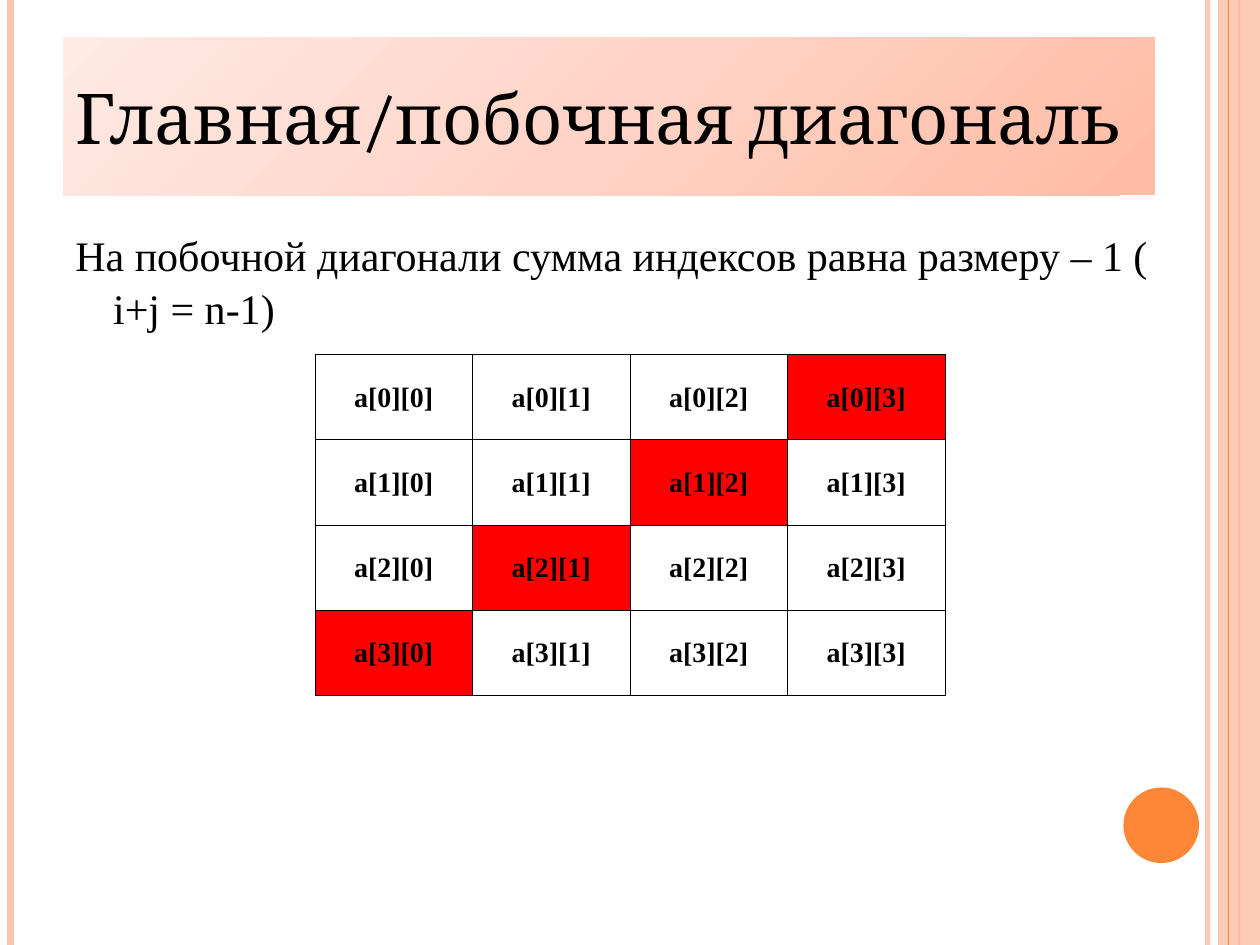
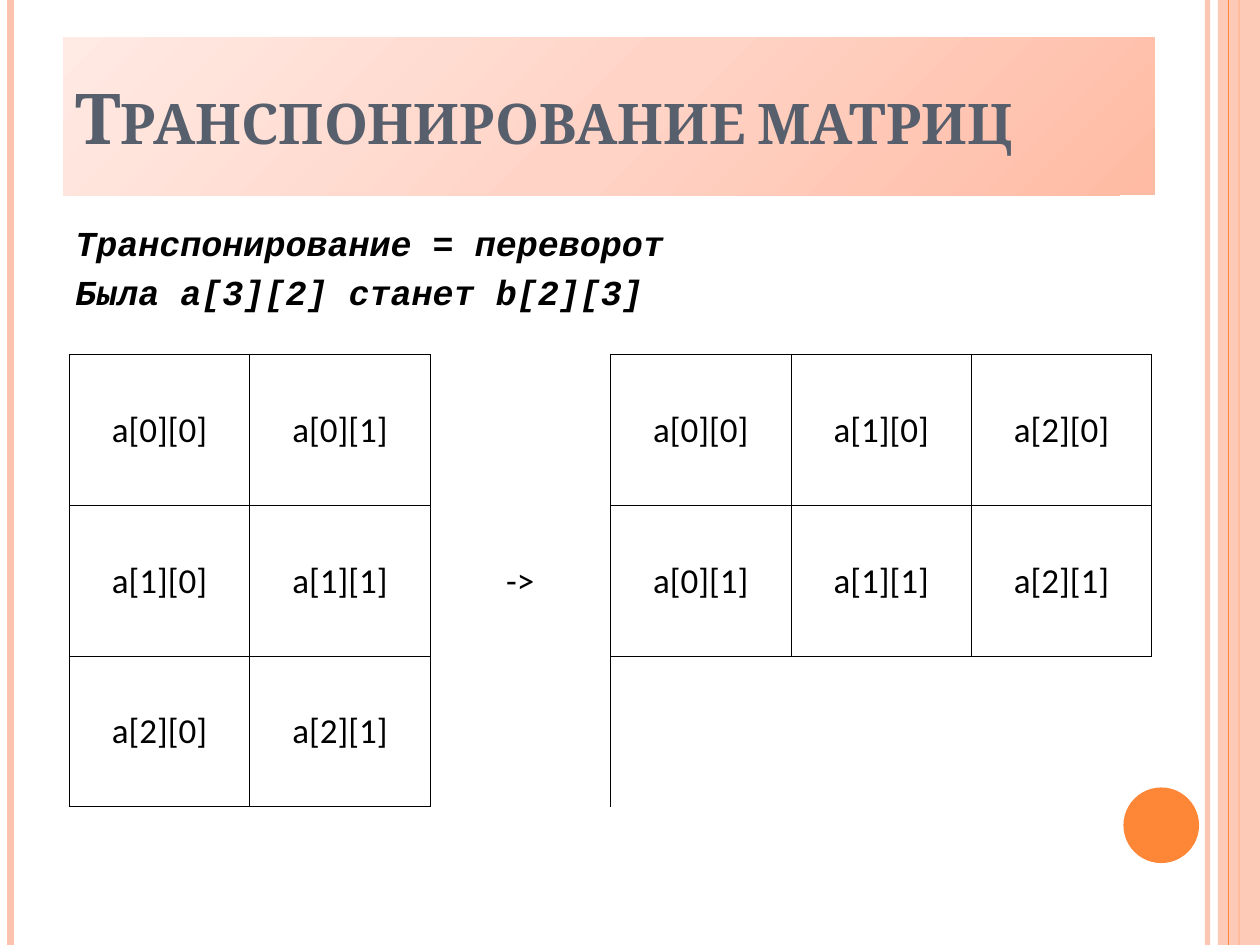
from dataclasses import dataclass
from typing import NamedTuple, Optional

from lxml import etree
from pptx import Presentation, util as u
from pptx.dml.color import RGBColor
from pptx.enum import shapes, text
from pptx.oxml import ns

COLUMNS, ROWS = 120, 90
CELL = u.Inches(10) // COLUMNS
NO_GRID_STYLE = "{2D5ABB26-0587-4C30-8999-92F81FD0307C}"


@dataclass(frozen=True)
class Theme:
    paper: str = "FFFFFF"
    ink: str = "000000"
    slate: str = "575F6D"
    peach: str = "FEC3AE"
    orange: str = "FE8637"
    diagonal: str = "FF0000"
    heading_gradient: tuple[str, ...] = ("FFBBA3", "FFD4C7", "FFEAE4")
    heading_pt: float = 40
    rule_pt: float = 0.5


THEME = Theme()


class Area(NamedTuple):
    """A rectangle in grid columns and rows."""
    column: float
    row: float
    width: float
    height: float

    def emu(self) -> list[int]:
        return [round(length * CELL) for length in self]


class Type(NamedTuple):
    face: str
    size: float
    color: str = THEME.ink
    bold: bool = False
    italic: bool = False


class Stripe(NamedTuple):
    column: float
    color: str
    weight: float
    opacity: int = 100


class MatrixCell(NamedTuple):
    label: str = ""
    fill: Optional[str] = None
    sides: str = "LRTB"


STRIPES_UNDER_BAND = (
    Stripe(115, THEME.peach, 3, 93),
    Stripe(1, THEME.peach, 4.5),
    Stripe(118, THEME.orange, 1.5),
)
STRIPE_OVER_BAND = Stripe(117, THEME.orange, 0.75)
EDGE_BAND = Area(116, 0, 4, ROWS)
CORNER_DISC = Area(107, 75, 7.2, 7.2)
HEADING = Area(6, 3.6, 104, 15)


def rgb(color: str) -> RGBColor:
    return RGBColor.from_string(color)


def add_xml(parent, tag: str, **attributes: str):
    return etree.SubElement(parent, ns.qn(tag), attributes)


def set_opacity(element, percent: int) -> None:
    if percent < 100:
        for color in element.iter(ns.qn("a:srgbClr")):
            add_xml(color, "a:alpha", val=str(percent * 1000))


def set_type(paragraph, style: Type) -> None:
    font = paragraph.font
    font.name, font.size = style.face, u.Pt(style.size)
    font.bold, font.italic = style.bold, style.italic
    font.color.rgb = rgb(style.color)


def draw_stripe(slide, stripe: Stripe) -> None:
    x = round(stripe.column * CELL)
    line = slide.shapes.add_connector(
        shapes.MSO_CONNECTOR.STRAIGHT, x, 0, x, ROWS * CELL)
    line.line.color.rgb = rgb(stripe.color)
    line.line.width = u.Pt(stripe.weight)
    properties = line._element.spPr
    set_opacity(properties, stripe.opacity)
    add_xml(properties, "a:effectLst")


def draw_solid(slide, preset, area: Area, color: str, opacity: int = 100) -> None:
    solid = slide.shapes.add_shape(preset, *area.emu())
    solid.shadow.inherit = False
    solid.fill.solid()
    solid.fill.fore_color.rgb = rgb(color)
    solid.line.fill.background()
    set_opacity(solid._element.spPr, opacity)


def draw_frame(slide) -> None:
    """Draw the edge stripes and the corner disc shared by all slides."""
    for stripe in STRIPES_UNDER_BAND:
        draw_stripe(slide, stripe)
    draw_solid(slide, shapes.MSO_SHAPE.RECTANGLE, EDGE_BAND, THEME.peach, 87)
    draw_stripe(slide, STRIPE_OVER_BAND)
    draw_solid(slide, shapes.MSO_SHAPE.OVAL, CORNER_DISC, THEME.orange)


def fill_heading(fill) -> None:
    """Spread the heading colours evenly from bottom right to top left."""
    fill.gradient()
    fill.gradient_angle = 135
    stops = fill._xPr.find(ns.qn("a:gradFill")).find(ns.qn("a:gsLst"))
    for stop in list(stops):
        stops.remove(stop)
    step = 100000 // (len(THEME.heading_gradient) - 1)
    for index, color in enumerate(THEME.heading_gradient):
        stop = add_xml(stops, "a:gs", pos=str(index * step))
        add_xml(stop, "a:srgbClr", val=color)


def draw_heading(slide, words: str, color: str, bold: bool = False,
                 small_caps: bool = False) -> None:
    heading = slide.shapes.add_textbox(*HEADING.emu())
    fill_heading(heading.fill)
    frame = heading.text_frame
    frame.word_wrap = True
    frame.vertical_anchor = text.MSO_ANCHOR.MIDDLE
    frame.text = words
    paragraph = frame.paragraphs[0]
    set_type(paragraph, Type("Cambria", THEME.heading_pt, color, bold))
    if small_caps:
        paragraph.font._element.set("cap", "small")


def draw_body(slide, area: Area, lines: list[str], style: Type,
              spacing: float) -> None:
    frame = slide.shapes.add_textbox(*area.emu()).text_frame
    frame.word_wrap = True
    frame.text = "\n".join(lines)
    hang = u.Inches(0.3)
    for index, paragraph in enumerate(frame.paragraphs):
        properties = paragraph._p.get_or_add_pPr()
        properties.set("marL", str(hang))
        properties.set("indent", str(-hang))
        paragraph.line_spacing = spacing
        if index:
            paragraph.space_before = u.Pt(6)
        set_type(paragraph, style)


def style_cell(cell, content: MatrixCell, style: Type) -> None:
    cell.margin_left = cell.margin_right = cell.margin_top = u.Inches(0.01)
    cell.margin_bottom = 0
    cell.vertical_anchor = text.MSO_ANCHOR.MIDDLE
    properties = cell._tc.get_or_add_tcPr()
    for side in content.sides:
        border = add_xml(properties, f"a:ln{side}", w=str(u.Pt(THEME.rule_pt)))
        add_xml(add_xml(border, "a:solidFill"), "a:srgbClr", val=THEME.ink)
    if content.fill:
        cell.fill.solid()
        cell.fill.fore_color.rgb = rgb(content.fill)
    else:
        cell.fill.background()
    cell.text = content.label
    paragraph = cell.text_frame.paragraphs[0]
    paragraph.alignment = text.PP_ALIGN.CENTER
    set_type(paragraph, style)


def draw_matrix(slide, area: Area, grid: list[list[MatrixCell]], style: Type):
    table = slide.shapes.add_table(len(grid), len(grid[0]), *area.emu()).table
    table.first_row = table.horz_banding = False
    table._tbl.tblPr.find(ns.qn("a:tableStyleId")).text = NO_GRID_STYLE
    for r, row in enumerate(grid):
        for c, content in enumerate(row):
            style_cell(table.cell(r, c), content, style)
    return table


def element(row: int, column: int) -> str:
    return f"a[{row}][{column}]"


def build_diagonal(slide) -> None:
    size = 4
    draw_heading(slide, "Главная/побочная диагональ", THEME.ink)
    draw_body(slide, Area(6, 21, 104.6, 13.7),
              ["На побочной диагонали сумма индексов равна размеру – 1 ( i+j = n-1)"],
              Type("Times New Roman", 24), 1.05)
    grid = [[MatrixCell(element(i, j),
                        THEME.diagonal if i + j == size - 1 else THEME.paper)
             for j in range(size)] for i in range(size)]
    draw_matrix(slide, Area(30, 33.75, 60, 32.5), grid,
                Type("Times New Roman", 16, bold=True))


def build_transpose(slide) -> None:
    height, width = 3, 2
    draw_heading(slide, "Транспонирование матриц", THEME.slate,
                 bold=True, small_caps=True)
    draw_body(slide, Area(6, 21, 104.6, 64),
              ["Транспонирование = переворот", "Была a[3][2] станет b[2][3]"],
              Type("Courier New", 20, bold=True, italic=True), 0.9)
    grid = []
    for i in range(height):
        source = [MatrixCell(element(i, j)) for j in range(width)]
        arrow = MatrixCell("" if i else "->", sides="" if i else "LR")
        transposed = [MatrixCell(element(j, i)) if i < width
                      else MatrixCell(sides="T") for j in range(height)]
        grid.append([*source, arrow, *transposed])
    table = draw_matrix(slide, Area(6.6, 33.75, 103.1, 43.1), grid,
                        Type("Calibri", 20))
    table.cell(0, width).merge(table.cell(height - 1, width))


def main() -> None:
    deck = Presentation()
    deck.slide_width, deck.slide_height = COLUMNS * CELL, ROWS * CELL
    blank = deck.slide_layouts[6]
    for build in (build_diagonal, build_transpose):
        slide = deck.slides.add_slide(blank)
        slide.background.fill.solid()
        slide.background.fill.fore_color.rgb = rgb(THEME.paper)
        draw_frame(slide)
        build(slide)
    deck.save("out.pptx")


if __name__ == "__main__":
    main()
